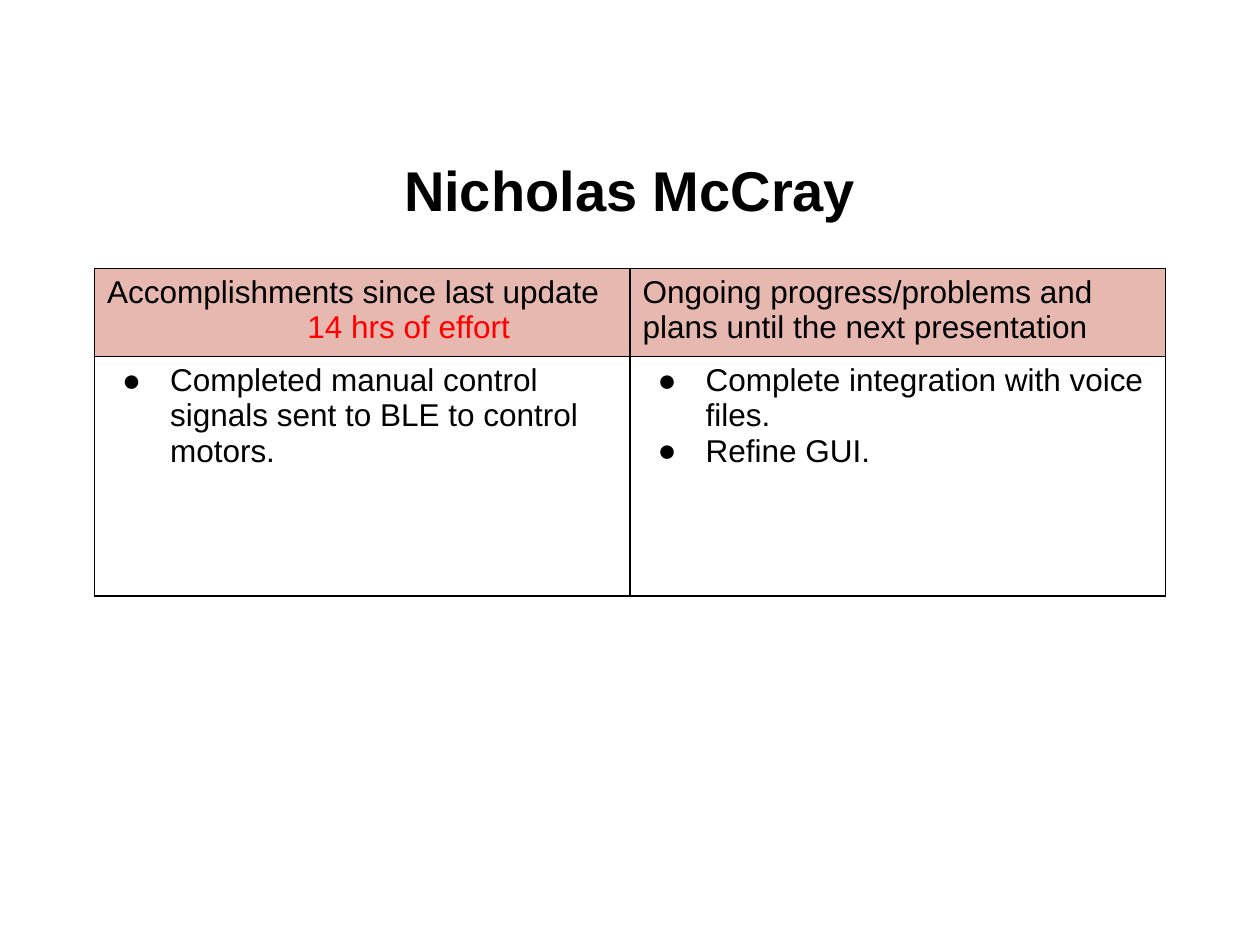
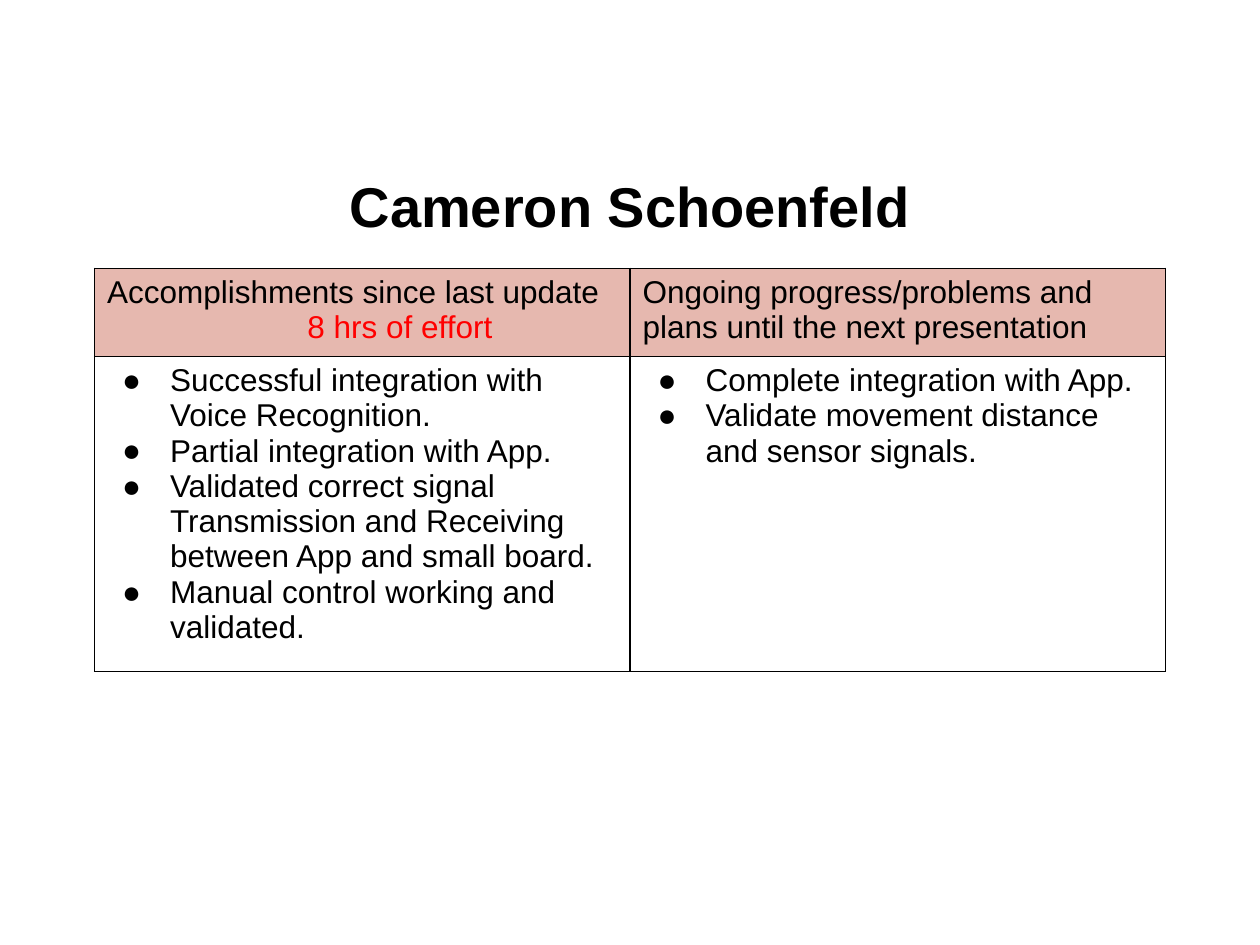
import lxml.etree
import pptx
import pptx.dml.color
import pptx.enum.text
import pptx.oxml.ns
import pptx.util

Inches = pptx.util.Inches
Pt = pptx.util.Pt
RGBColor = pptx.dml.color.RGBColor
qn = pptx.oxml.ns.qn

BLACK = RGBColor(0x00, 0x00, 0x00)
RED = RGBColor(0xFF, 0x00, 0x00)
ROSE = RGBColor(0xE6, 0xB8, 0xAF)

UPDATES = [
    {
        "name": "Nicholas McCray",
        "title_top": 1.02,
        "effort": "14 hrs of effort",
        "done": ["Completed manual control signals sent to BLE to control motors."],
        "next": ["Complete integration with voice files.", "Refine GUI."],
    },
    {
        "name": "Cameron Schoenfeld",
        "title_top": 1.15,
        "effort": "8 hrs of effort",
        "done": [
            "Successful integration with Voice Recognition.",
            "Partial integration with App.",
            "Validated correct signal Transmission and Receiving between App and small board.",
            "Manual control working and validated.",
        ],
        "next": [
            "Complete integration with App.",
            "Validate movement distance and sensor signals.",
        ],
    },
]


class StatusDeck:
    font_name = "Arial"
    title_size = Pt(32)
    body_size = Pt(18)

    def __init__(self):
        self.deck = pptx.Presentation()
        self.deck.slide_width = Inches(10)
        self.deck.slide_height = Inches(7.5)
        self.page = None

    def add_page(self):
        self.page = self.deck.slides.add_slide(self.deck.slide_layouts[6])

    def format_runs(self, para, size, color=BLACK, bold=False):
        for span in para.runs:
            span.font.name = self.font_name
            span.font.size = size
            span.font.bold = bold
            span.font.color.rgb = color

    def add_title(self, text, top):
        box = self.page.shapes.add_textbox(Inches(0.5), Inches(top), Inches(9), Inches(0.88))
        frame = box.text_frame
        frame.word_wrap = True
        frame.vertical_anchor = pptx.enum.text.MSO_ANCHOR.MIDDLE
        frame.text = text
        para = frame.paragraphs[0]
        para.alignment = pptx.enum.text.PP_ALIGN.CENTER
        para.line_spacing = 1.15
        self.format_runs(para, self.title_size, bold=True)

    def indent(self, para, left, first=0):
        properties = para._p.get_or_add_pPr()
        properties.set("marL", str(Inches(left)))
        properties.set("indent", str(Inches(first)))
        return properties

    def add_bullet(self, para):
        properties = self.indent(para, 0.5, -0.38)
        color = lxml.etree.SubElement(properties, qn("a:buClr"))
        lxml.etree.SubElement(color, qn("a:srgbClr"), val=str(BLACK))
        lxml.etree.SubElement(properties, qn("a:buFont"), typeface=self.font_name)
        lxml.etree.SubElement(properties, qn("a:buChar"), char="●")

    def add_borders(self, cell):
        properties = cell._tc.get_or_add_tcPr()
        for side in ("lnL", "lnR", "lnT", "lnB"):
            line = lxml.etree.SubElement(properties, qn(f"a:{side}"), w=str(Pt(1)))
            fill = lxml.etree.SubElement(line, qn("a:solidFill"))
            lxml.etree.SubElement(fill, qn("a:srgbClr"), val=str(BLACK))

    def fill_cell(self, cell, lines, fill=None):
        self.add_borders(cell)
        if fill is None:
            cell.fill.background()
        else:
            cell.fill.solid()
            cell.fill.fore_color.rgb = fill
        cell.text_frame.text = "\n".join(lines)
        for para in cell.text_frame.paragraphs:
            if fill is None:
                self.add_bullet(para)
            self.format_runs(para, self.body_size)

    def add_status_table(self, effort, done, upcoming):
        table = self.page.shapes.add_table(
            2, 2, Inches(0.75), Inches(2.13), Inches(8.5), Inches(2.6)
        ).table
        table.first_row = False
        table.horz_banding = False
        for row, height in zip(table.rows, (0.7, 1.9)):
            row.height = Inches(height)
        headings = (
            ["Accomplishments since last update", effort],
            ["Ongoing progress/problems and plans until the next presentation"],
        )
        for column, (heading, items) in enumerate(zip(headings, (done, upcoming))):
            self.fill_cell(table.cell(0, column), heading, ROSE)
            self.fill_cell(table.cell(1, column), items)
        effort_para = table.cell(0, 0).text_frame.paragraphs[1]
        self.indent(effort_para, 1.59)
        self.format_runs(effort_para, self.body_size, RED)


def main():
    status = StatusDeck()
    for update in UPDATES:
        status.add_page()
        status.add_title(update["name"], update["title_top"])
        status.add_status_table(update["effort"], update["done"], update["next"])
    status.deck.save("out.pptx")


if __name__ == "__main__":
    main()
